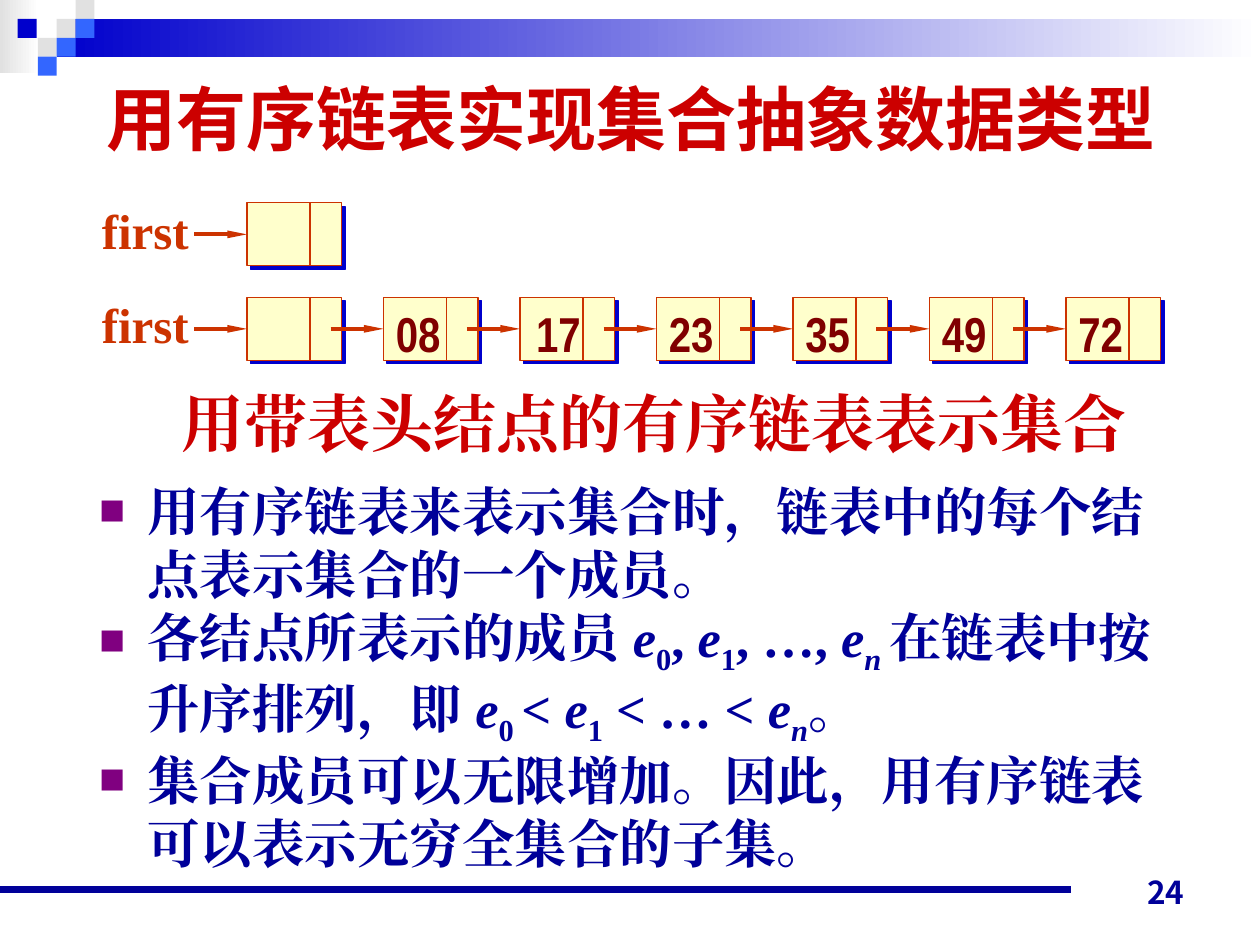
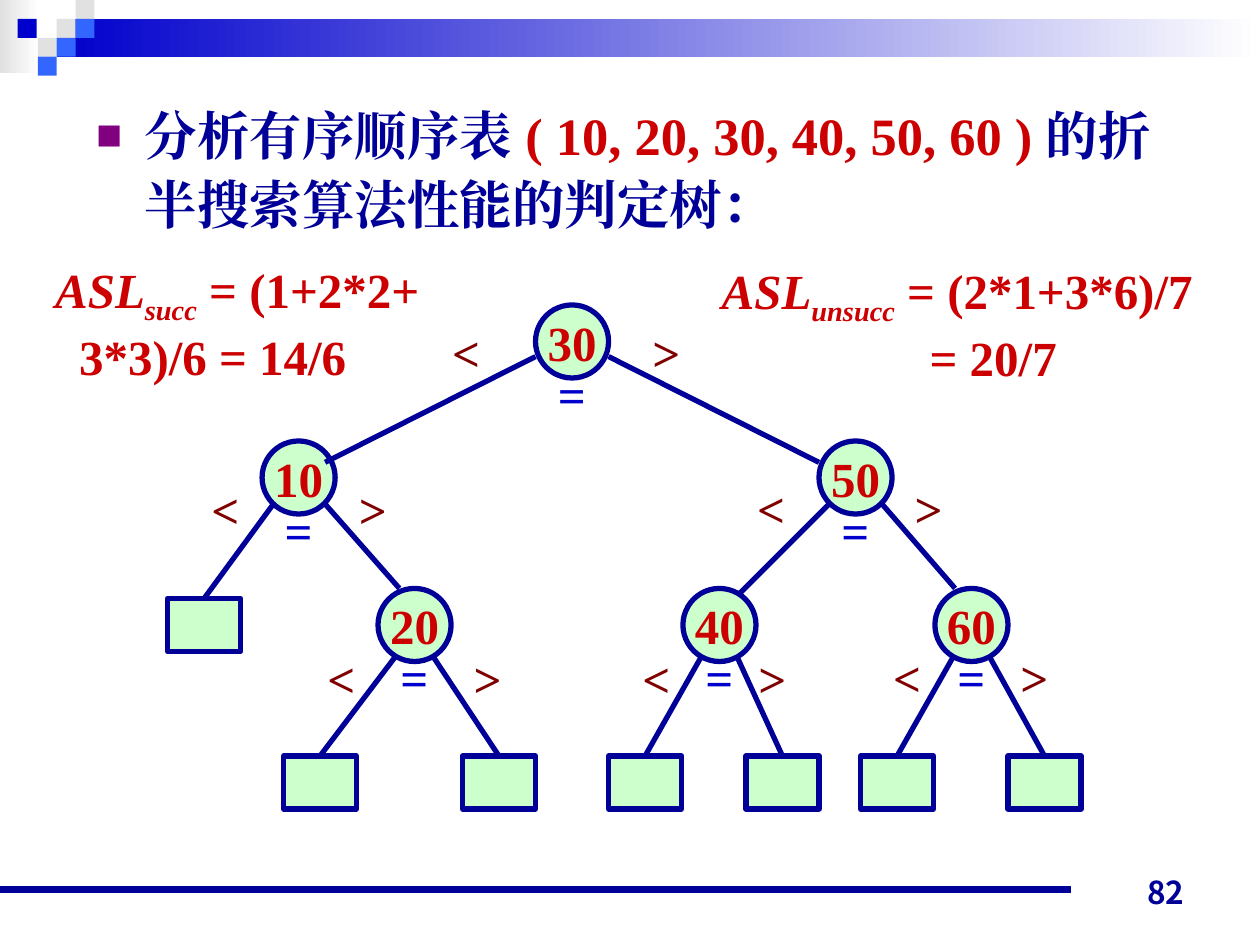
from dataclasses import dataclass

from lxml import etree
from pptx import Presentation
from pptx.dml.color import RGBColor
from pptx.enum.shapes import MSO_CONNECTOR, MSO_SHAPE
from pptx.enum.text import MSO_ANCHOR, PP_ALIGN
from pptx.oxml.ns import qn
from pptx.util import Inches, Pt

RECT, OVAL = MSO_SHAPE.RECTANGLE, MSO_SHAPE.OVAL
STRAIGHT = MSO_CONNECTOR.STRAIGHT
LEFT, CENTER, RIGHT = PP_ALIGN.LEFT, PP_ALIGN.CENTER, PP_ALIGN.RIGHT
TOP, MIDDLE, BOTTOM = MSO_ANCHOR.TOP, MSO_ANCHOR.MIDDLE, MSO_ANCHOR.BOTTOM
TOP_SIDE, LEFT_SIDE = 0, 1
OVAL_LOWER_LEFT, OVAL_LOWER_RIGHT = 3, 5


@dataclass(frozen=True)
class Theme:
    navy: str = "000099"
    blue: str = "0000CC"
    sky: str = "3366FF"
    gray: str = "E1E1E1"
    white: str = "FFFFFF"
    red: str = "CC0000"
    maroon: str = "800000"
    rust: str = "CC3300"
    cream: str = "FFFFCC"
    mint: str = "CCFFCC"
    bullet: str = "800080"
    serif: str = "Times New Roman"
    sans: str = "Arial"
    narrow: str = "Arial Narrow"
    cjk: str = "Noto Sans CJK JP"
    title: int = 40
    subtitle: int = 36
    body: int = 30
    label: int = 28
    number: int = 18


@dataclass(frozen=True)
class Span:
    text: str
    italic: bool = False
    sub: bool = False
    color: str = ""


def variable(name, index, italic_index=False):
    """An italic name followed by its subscript."""
    return [Span(name, italic=True), Span(index, italic=italic_index, sub=True)]


def add_xml(parent, tag, **attributes):
    return etree.SubElement(parent, qn(tag), attributes)


class Deck:
    def __init__(self, theme):
        self.theme = theme
        self.presentation = Presentation()
        self.presentation.slide_width = Inches(10)
        self.presentation.slide_height = Inches(7.5)
        self.page = None

    def add_page(self, number):
        """Start a slide with the shared header squares, band and footer."""
        theme = self.theme
        self.page = self.presentation.slides.add_slide(
            self.presentation.slide_layouts[6])
        self.gradient(0, 0, 0.31, 0.58, theme.gray)
        self.gradient(0.45, 0.15, 9.55, 0.3, theme.blue)
        squares = [(0.45, 0.15, theme.gray), (0.6, 0, theme.gray),
                   (0.6, 0.15, theme.sky), (0.3, 0.3, theme.gray),
                   (0.14, 0.15, theme.blue), (0.45, 0.3, theme.sky),
                   (0.3, 0.45, theme.sky)]
        for x, y, color in squares:
            self.shape(RECT, x, y, 0.15, 0.15, color)
        self.line((0, 7.06), (8.5, 7.06), theme.navy, 4.5)
        self.text(7.17, 6.78, 2.33, 0.5, number, theme.number, theme.navy,
                  theme.cjk, RIGHT, BOTTOM)

    def shape(self, kind, x, y, width, height, fill, line=None, weight=1):
        shape = self.page.shapes.add_shape(
            kind, Inches(x), Inches(y), Inches(width), Inches(height))
        shape.shadow.inherit = False
        shape.fill.solid()
        shape.fill.fore_color.rgb = RGBColor.from_string(fill)
        if line:
            shape.line.color.rgb = RGBColor.from_string(line)
            shape.line.width = Pt(weight)
        else:
            shape.line.fill.background()
        return shape

    def gradient(self, x, y, width, height, color):
        """A band that fades from color to white, left to right."""
        band = self.shape(RECT, x, y, width, height, color)
        band.fill.gradient()
        band.fill.gradient_angle = 0
        for stop, shade in zip(band.fill.gradient_stops, (color, self.theme.white)):
            stop.color.rgb = RGBColor.from_string(shade)

    def drop_shadow(self, shape, color):
        effects = shape._element.spPr.find(qn("a:effectLst"))
        shadow = add_xml(effects, "a:outerShdw", dist=str(Pt(2.8)), dir="2700000",
                         algn="ctr", rotWithShape="0")
        add_xml(shadow, "a:srgbClr", val=color)

    def line(self, start, end, color, weight, arrow=False):
        line = self.page.shapes.add_connector(
            STRAIGHT, *(Inches(value) for value in (*start, *end)))
        line.line.color.rgb = RGBColor.from_string(color)
        line.line.width = Pt(weight)
        properties = line._element.spPr
        if arrow:
            add_xml(properties.find(qn("a:ln")), "a:tailEnd",
                    type="triangle", w="sm", len="lg")
        add_xml(properties, "a:effectLst")
        return line

    def add_spans(self, para, spans, size, color, font):
        """Add text to a paragraph, run by run."""
        for span in [Span(spans)] if isinstance(spans, str) else spans:
            run = para.add_run()
            run.text = span.text
            run.font.name = font
            run.font.size = Pt(size)
            run.font.bold = True
            run.font.italic = span.italic
            run.font.color.rgb = RGBColor.from_string(span.color or color)
            properties = run._r.get_or_add_rPr()
            add_xml(properties, "a:ea", typeface=font)
            if span.sub:
                properties.set("baseline", "-25000")

    def text(self, x, y, width, height, content, size, color, font,
             align=LEFT, anchor=TOP, wrap=True):
        box = self.page.shapes.add_textbox(
            Inches(x), Inches(y), Inches(width), Inches(height))
        box.text_frame.word_wrap = wrap
        box.text_frame.vertical_anchor = anchor
        para = box.text_frame.paragraphs[0]
        para.alignment = align
        self.add_spans(para, content, size, color, font)
        return box

    def label(self, x, y, width, content, color, font=None):
        self.text(x, y, width, 0.57, content, self.theme.label, color,
                  font or self.theme.serif, wrap=False)

    def bullets(self, x, y, width, height, items, spacing=None):
        theme = self.theme
        box = self.page.shapes.add_textbox(
            Inches(x), Inches(y), Inches(width), Inches(height))
        frame = box.text_frame
        frame.word_wrap = True
        for index, spans in enumerate(items):
            para = frame.add_paragraph() if index else frame.paragraphs[0]
            properties = para._p.get_or_add_pPr()
            properties.set("marL", str(Inches(0.38)))
            properties.set("indent", str(Inches(-0.38)))
            add_xml(add_xml(properties, "a:buClr"), "a:srgbClr", val=theme.bullet)
            add_xml(properties, "a:buSzPct", val="50000")
            add_xml(properties, "a:buFont", typeface=theme.cjk)
            add_xml(properties, "a:buChar", char="■")
            if spacing:
                para.line_spacing = spacing
            self.add_spans(para, spans, theme.body, theme.navy, theme.serif)

    def formula(self, x, y, width, index, first, second, indent):
        """A search length on two lines, the second one indented."""
        theme = self.theme
        box = self.text(x, y, width, 1.03,
                        variable("ASL", index, True) + [Span(first)],
                        theme.label, theme.red, theme.serif)
        para = box.text_frame.add_paragraph()
        para._p.get_or_add_pPr().set("marL", str(Inches(indent)))
        self.add_spans(para, second, theme.label, theme.red, theme.serif)

    def list_node(self, x, y, value=""):
        """A linked-list node with the arrow that leads to it."""
        theme = self.theme
        node = self.shape(RECT, x, y, 0.75, 0.5, theme.cream, theme.rust, 0.75)
        self.drop_shadow(node, theme.blue)
        self.line((x + 0.5, y), (x + 0.5, y + 0.5), theme.rust, 0.75)
        arrow = self.line((x - 0.42, y + 0.25), (x, y + 0.25), theme.rust, 2.25, True)
        arrow.end_connect(node, LEFT_SIDE)
        if value:
            shift = 0.03 if value == "17" else 0
            self.label(x + shift, y, 0.56, value, theme.maroon, theme.narrow)

    def tree_node(self, key, x, y):
        theme = self.theme
        node = self.shape(OVAL, x, y, 0.58, 0.58, theme.mint, theme.navy, 3)
        frame = node.text_frame
        frame.word_wrap = False
        frame.vertical_anchor = MIDDLE
        para = frame.paragraphs[0]
        para.alignment = CENTER
        self.add_spans(para, key, theme.label, theme.red, theme.serif)
        return node

    def branch(self, start, end):
        return self.line(start, end, self.theme.navy, 3)

    def leaf(self, x, y):
        theme = self.theme
        return self.shape(RECT, x, y, 0.58, 0.42, theme.mint, theme.navy, 3)


def build_linked_list(deck):
    theme = deck.theme
    deck.add_page("24")
    deck.text(0.51, 0.36, 9, 1.14, "用有序链表实现集合抽象数据类型",
              theme.title, theme.red, theme.sans, CENTER, MIDDLE)
    deck.text(1.34, 3, 7.7, 0.7, "用带表头结点的有序链表表示集合",
              theme.subtitle, theme.red, theme.serif, CENTER, wrap=False)
    lists = [(1.61, [""]), (2.36, ["", "08", "17", "23", "35", "49", "72"])]
    for y, values in lists:
        deck.label(0.71, y - 0.07, 0.89, "first", theme.rust)
        for index, value in enumerate(values):
            deck.list_node(1.96 + index * 6.5 / 6, y, value)
    e0, e1, en = variable("e", "0"), variable("e", "1"), variable("e", "n", True)
    members = [Span("各结点所表示的成员 "), *e0, Span(", "), *e1, Span(", …, "),
               *variable("e", "n ", True), Span("在链表中按升序排列，即 "),
               *variable("e", "0 "), Span("< "), *e1, Span(" < … < "), *en, Span("。")]
    deck.bullets(0.69, 3.75, 8.76, 3.27, [
        "用有序链表来表示集合时，链表中的每个结点表示集合的一个成员。",
        members,
        "集合成员可以无限增加。因此，用有序链表可以表示无穷全集合的子集。"])


def build_decision_tree(deck):
    theme = deck.theme
    deck.add_page("82")
    deck.bullets(0.67, 0.72, 8.84, 1.33, [[
        Span("分析有序顺序表 "),
        Span("( 10, 20, 30, 40, 50, 60 ) ", color=theme.red),
        Span("的折半搜索算法性能的判定树：")]], spacing=1.1)

    # key: x, y, then the shifts of "<" and ">" and their drop
    nodes = {"30": (4.25, 2.42, -0.76, 0.83, 0.09),
             "10": (2.08, 3.5, -0.5, 0.67, 0.26),
             "50": (6.5, 3.5, -0.59, 0.66, 0.25),
             "20": (3, 4.67, -0.5, 0.66, 0.43),
             "40": (5.42, 4.67, -0.42, 0.5, 0.43),
             "60": (7.42, 4.67, -0.43, 0.58, 0.42)}
    bottom_leaves = {"20": (2.25, 3.67), "40": (4.83, 5.92), "60": (6.83, 8)}
    ovals = {key: deck.tree_node(key, *nodes[key][:2]) for key in ("30", "10", "50")}

    for start, end in [((4.25, 2.83), (2.58, 3.67)), ((4.83, 2.83), (6.5, 3.67))]:
        deck.branch(start, end)
    inner_branches = [("10", OVAL_LOWER_RIGHT, (3.17, 4.67)),
                      ("50", OVAL_LOWER_LEFT, (5.83, 4.75)),
                      ("50", OVAL_LOWER_RIGHT, (7.58, 4.67))]
    for key, site, end in inner_branches:
        x, y = nodes[key][:2]
        shift = 0.08 if site == OVAL_LOWER_LEFT else 0.5
        deck.branch((x + shift, y + 0.5), end)
    outer_branch = deck.branch((2.17, 4), (1.62, 4.75))
    outer_branch.end_connect(deck.leaf(1.33, 4.75), TOP_SIDE)

    for key, leaves in bottom_leaves.items():
        x, y = nodes[key][:2]
        for start, leaf_x in zip((x + 0.17, x + 0.41), leaves):
            branch = deck.branch((start, y + 0.5), (leaf_x + 0.29, 6))
            branch.end_connect(deck.leaf(leaf_x, 6), TOP_SIDE)
        deck.tree_node(key, x, y)

    for x, y, less, more, drop in nodes.values():
        deck.label(x + 0.08, y + 0.42, 0.42, "=", theme.blue)
        deck.label(x + less, y + drop, 0.42, "<", theme.maroon)
        deck.label(x + more, y + drop, 0.42, ">", theme.maroon)

    deck.formula(5.63, 2.02, 4.06, "unsucc", " = (2*1+3*6)/7", "= 20/7", 1.65)
    deck.formula(0.34, 2.01, 3.17, "succ", " = (1+2*2+", "3*3)/6 = 14/6", 0.19)


def main():
    deck = Deck(Theme())
    build_linked_list(deck)
    build_decision_tree(deck)
    deck.presentation.save("out.pptx")


if __name__ == "__main__":
    main()
